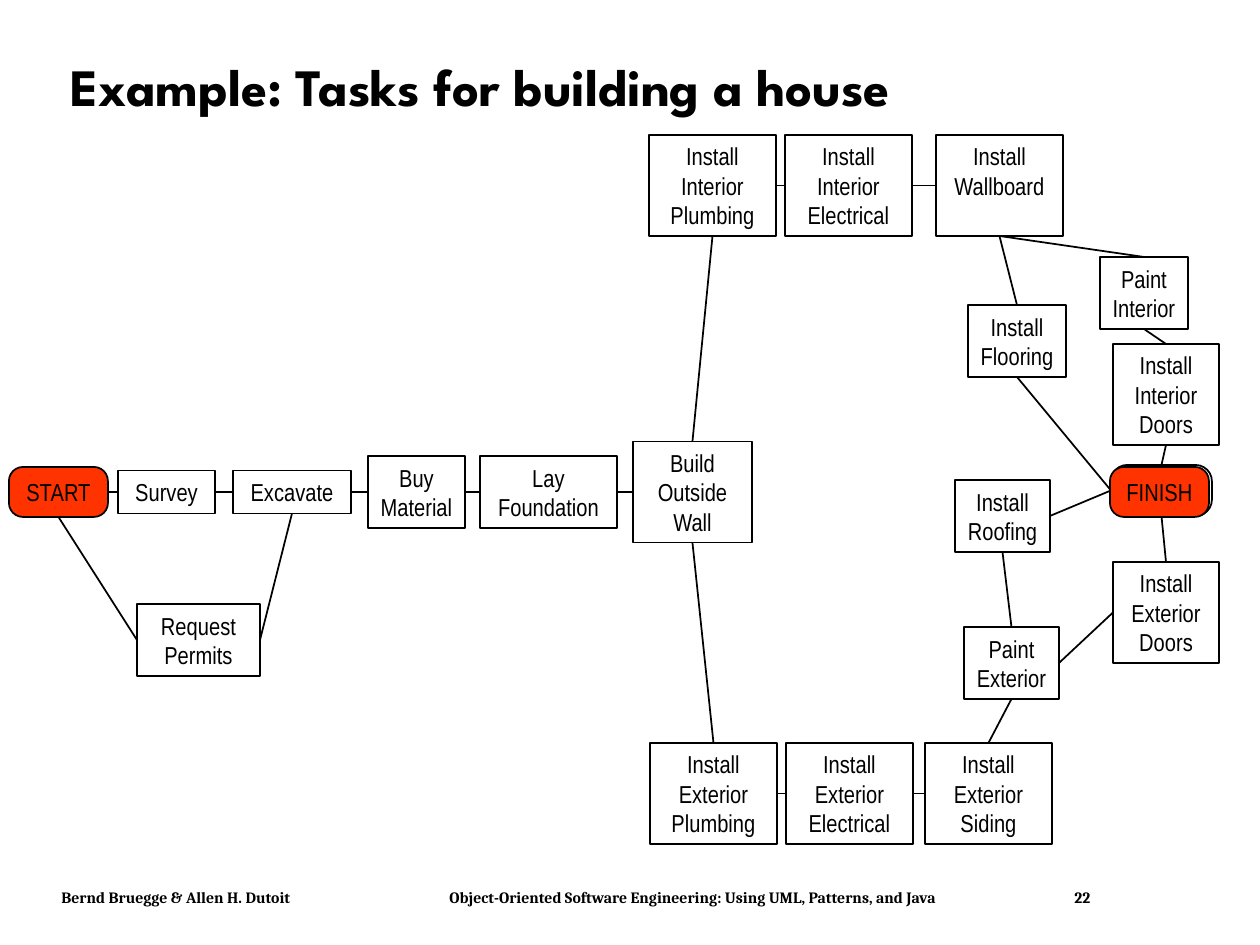
from pptx import Presentation, util as u
from pptx.dml.color import RGBColor
from pptx.enum import shapes, text
from pptx.oxml import xmlchemy
from lxml import etree

PX = 914400 / 126
HUES = {"ink": "000000", "paper": "FFFFFF", "stop": "FF3300"}
TOP, LEFT, LOW, RIGHT = range(4)
NS = "{http://schemas.openxmlformats.org/drawingml/2006/main}"


def px(n):
    return u.Emu(round(n * PX))


def hue(name):
    return RGBColor.from_string(HUES[name])


def write(para, words, face, size, bold=False):
    """Add one run for each line of words."""
    for i, line in enumerate(words.split("\n")):
        if i:
            para.add_line_break()
        run = para.add_run()
        run.text = line
        run.font.name, run.font.size, run.font.bold = face, u.Pt(size), bold
        run.font.color.rgb = hue("ink")


def node(slide, x, y, wide, high, words, fill="paper", bend=None):
    """Draw a task; bend is the corner ratio of a rounded one."""
    kind = shapes.MSO_SHAPE.RECTANGLE if bend is None else shapes.MSO_SHAPE.ROUNDED_RECTANGLE
    shape = slide.shapes.add_shape(kind, px(x), px(y), px(wide), px(high))
    if bend is not None:
        shape.adjustments[0] = bend
    shape.shadow.inherit = False
    shape.fill.solid()
    shape.fill.fore_color.rgb = hue(fill)
    shape.line.color.rgb = hue("ink")
    shape.line.width = u.Pt(1)
    frame = shape.text_frame
    frame.word_wrap = "\n" not in words and bend is None
    frame.vertical_anchor = text.MSO_ANCHOR.MIDDLE
    para = frame.paragraphs[0]
    para.alignment = text.PP_ALIGN.CENTER
    if words:
        write(para, words, "Arial Narrow", 14)
    return shape


def task(slide, x, y, wide, rows, words):
    """Draw a square-cornered task as high as its rows of text."""
    return node(slide, x, y, wide, 14 + 29 * rows, words)


def link(slide, a, out, b, into):
    line = slide.shapes.add_connector(shapes.MSO_CONNECTOR.STRAIGHT, 0, 0, 0, 0)
    line.begin_connect(a, out)
    line.end_connect(b, into)
    line.line.color.rgb = hue("ink")
    line.line.width = u.Pt(1)
    etree.SubElement(line._element.spPr, NS + "effectLst")


def chain(slide, tasks):
    for a, b in zip(tasks, tasks[1:]):
        link(slide, a, RIGHT, b, LEFT)


def title(slide, x, y, wide, high):
    frame = slide.shapes.add_textbox(px(x), px(y), px(wide), px(high)).text_frame
    frame.word_wrap = True
    frame.vertical_anchor = text.MSO_ANCHOR.MIDDLE
    para = frame.paragraphs[0]
    para.line_spacing = 0.9
    write(para, "Example: Tasks for building a house", "League Spartan", 30, True)


def footer(slide, x, y, wide, high):
    frame = slide.shapes.add_textbox(px(x), px(y), px(wide), px(high)).text_frame
    frame.word_wrap = True
    para = frame.paragraphs[0]
    tabs = etree.SubElement(para._p.get_or_add_pPr(), NS + "tabLst")
    for stop in (388, 1013):
        etree.SubElement(tabs, NS + "tab", pos=str(px(stop)), algn="l")
    write(para, "Bernd Bruegge & Allen H. Dutoit\t"
          "Object-Oriented Software Engineering: Using UML, Patterns, and Java\t22",
          "Cambria", 9, True)


def ground(slide, x, y):
    """Groundwork, from START to the outside wall; y is the row's middle."""
    start = node(slide, x, y - 25, 99, 50, "START", "stop", 0.28)
    row = [start]
    for dx, wide, rows, words in (
            (109, 97, 1, "Survey"), (224, 118, 1, "Excavate"),
            (359, 97, 2, "Buy\nMaterial"), (471, 137, 2, "Lay Foundation"),
            (624, 119, 3, "Build Outside Wall")):
        row.append(task(slide, x + dx, y - 7 - 14.5 * rows, wide, rows, words))
    permit = task(slide, x + 128, y + 112, 123, 2, "Request\nPermits")
    chain(slide, row)
    link(slide, start, LOW, permit, LEFT)
    link(slide, row[2], LOW, permit, RIGHT)
    return row[-1]


def inside(slide, x, y, wall, finish):
    """Interior work, above the wall."""
    row = [task(slide, x + dx, y, 127, 3, "Install " + words) for dx, words in (
        (0, "Interior Plumbing"), (136, "Interior Electrical"), (287, "Wallboard"))]
    board = row[-1]
    board.text_frame.vertical_anchor = text.MSO_ANCHOR.TOP
    paint = task(slide, x + 451, y + 122, 88, 2, "Paint\nInterior")
    floor = task(slide, x + 319, y + 170, 98, 2, "Install\nFlooring")
    doors = task(slide, x + 464, y + 209, 106, 3, "Install Interior Doors")
    chain(slide, row)
    link(slide, wall, TOP, row[0], LOW)
    link(slide, board, LOW, floor, TOP)
    link(slide, board, LOW, paint, TOP)
    link(slide, paint, LOW, doors, TOP)
    link(slide, floor, LOW, finish, LEFT)
    link(slide, doors, LOW, finish, TOP)


def outside(slide, x, y, wall, finish):
    """Exterior work, below the wall; y is the top of the bottom row."""
    row = [task(slide, x + dx, y, 127, 3, "Install Exterior " + words) for dx, words in (
        (0, "Plumbing"), (136, "Electrical"), (275, "Siding"))]
    paint = task(slide, x + 314, y - 116, 95, 2, "Paint\nExterior")
    roof = task(slide, x + 305, y - 263, 95, 2, "Install\nRoofing")
    doors = task(slide, x + 463, y - 181, 106, 3, "Install Exterior Doors")
    chain(slide, row)
    link(slide, wall, LOW, row[0], TOP)
    link(slide, row[-1], TOP, paint, LOW)
    link(slide, paint, TOP, roof, LOW)
    link(slide, paint, RIGHT, doors, LEFT)
    link(slide, roof, RIGHT, finish, LEFT)
    link(slide, finish, LOW, doors, TOP)


def main():
    deck = Presentation()
    deck.slide_width, deck.slide_height = px(1260), px(945)
    slide = deck.slides.add_slide(deck.slide_layouts[6])
    footer(slide, 49, 882, 1155, 32)
    title(slide, 58, 30, 1124, 118)
    # Task network
    wall = ground(slide, 9, 492)
    finish = node(slide, 1111, 465, 101, 51, "", bend=0.32)
    inside(slide, 649, 135, wall, finish)
    outside(slide, 650, 743, wall, finish)
    # Red face over the white edge
    node(slide, 1110, 467, 99, 50, "FINISH", "stop", 0.28)
    deck.save("out.pptx")


if __name__ == "__main__":
    main()
